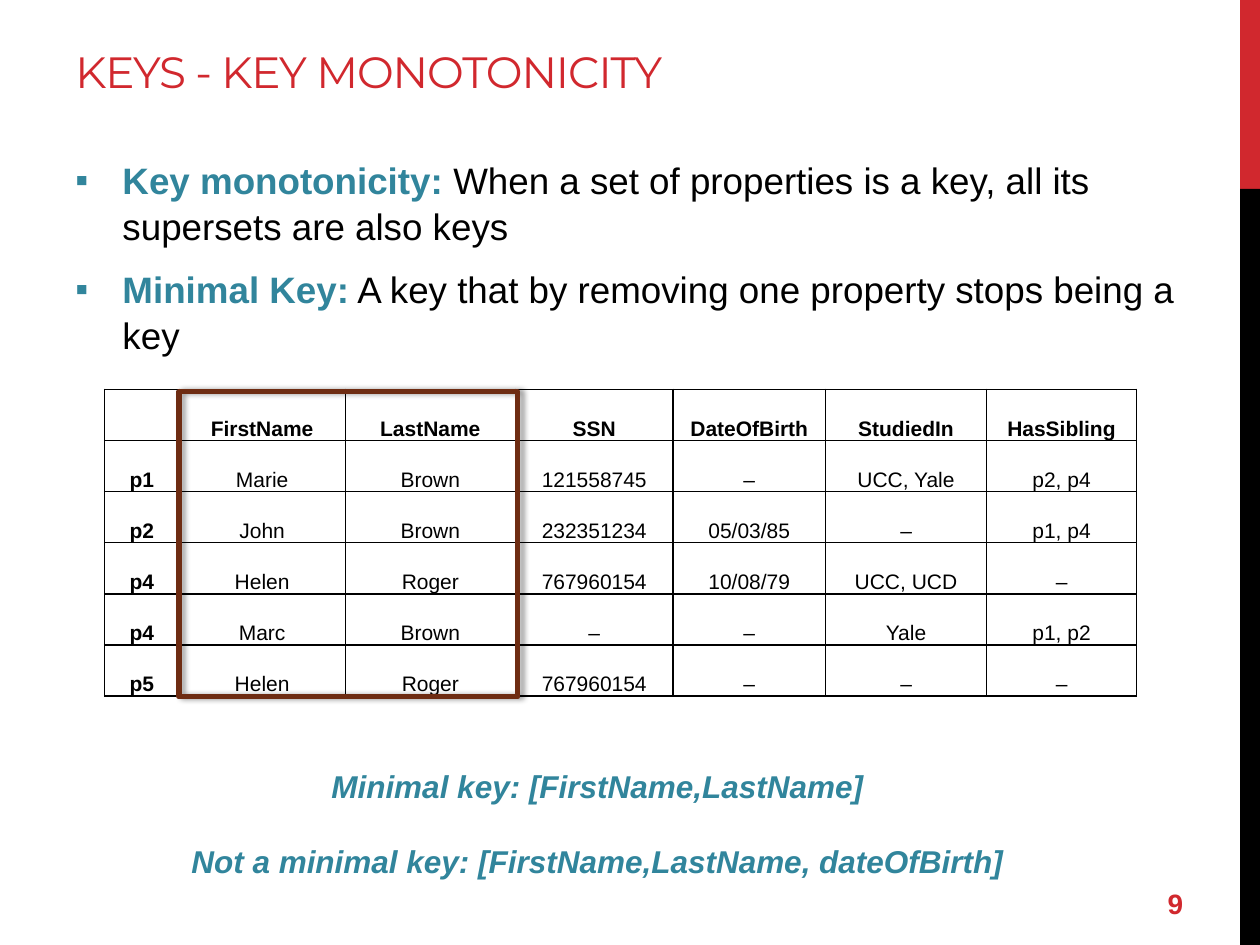
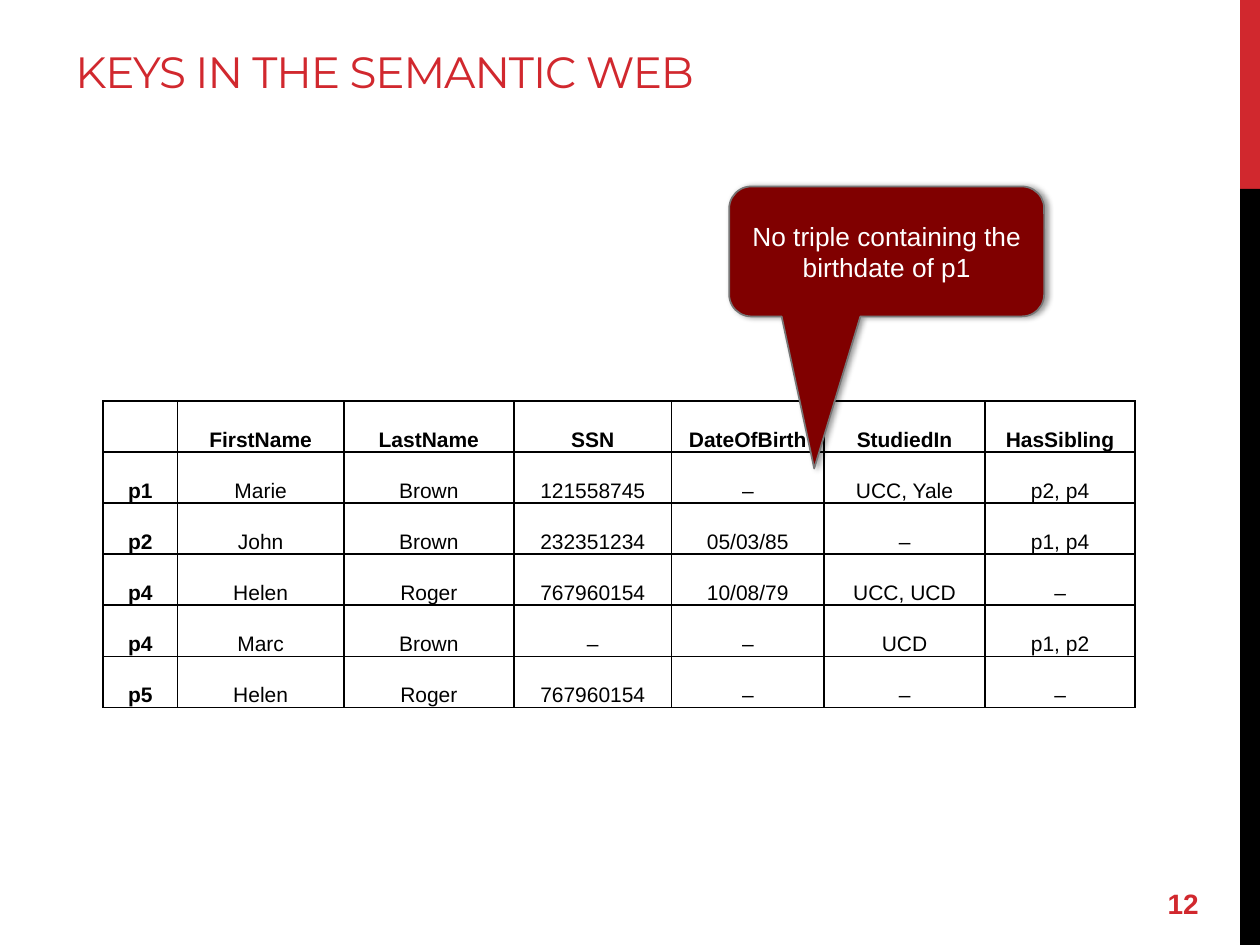
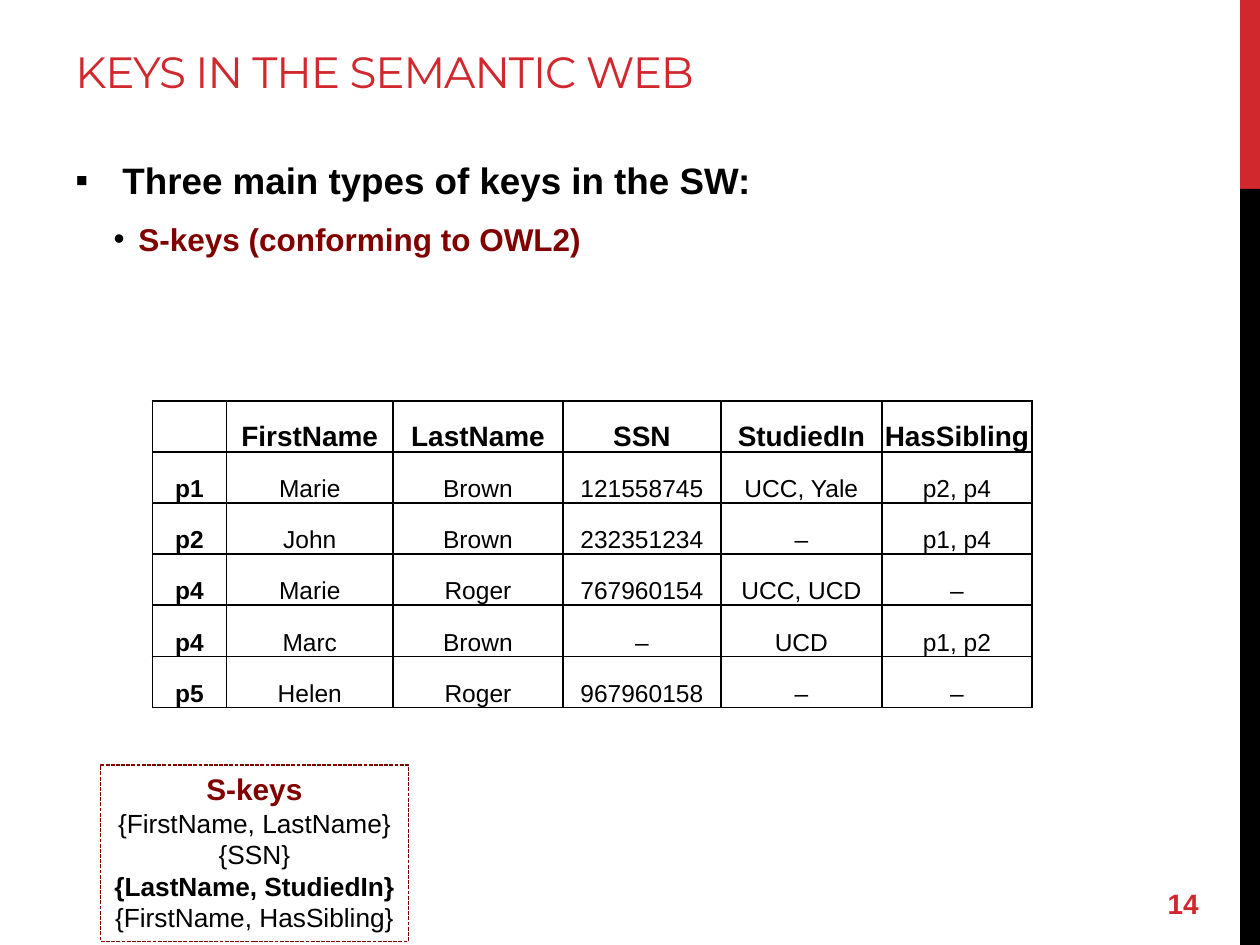
from dataclasses import dataclass

from lxml import etree
from pptx import Presentation
from pptx.dml.color import RGBColor
from pptx.enum.dml import MSO_LINE
from pptx.enum.shapes import MSO_SHAPE
from pptx.enum.text import MSO_ANCHOR, PP_ALIGN
from pptx.oxml.ns import qn
from pptx.util import Cm, Pt

RECTANGLE = MSO_SHAPE.RECTANGLE
CALLOUT = MSO_SHAPE.ROUNDED_RECTANGULAR_CALLOUT
TOP, MIDDLE, BOTTOM = MSO_ANCHOR.TOP, MSO_ANCHOR.MIDDLE, MSO_ANCHOR.BOTTOM
CENTER = PP_ALIGN.CENTER
SHORT_DASH = MSO_LINE.SQUARE_DOT


@dataclass(frozen=True)
class Theme:
    red: str = "D1282E"
    black: str = "000000"
    white: str = "FFFFFF"
    teal: str = "31859C"
    maroon: str = "800000"
    brown: str = "6E2C12"
    grey: str = "777777"
    title_font: str = "Montserrat"
    text_font: str = "Arial"
    title_size: float = 25
    number_size: float = 16
    body_sizes: tuple = (21, 18)
    example_size: float = 18
    callout_size: float = 15
    key_title_size: float = 17
    key_size: float = 15


theme = Theme()


def set_font(paragraph, size, color, bold=False, italic=False, name=theme.text_font):
    font = paragraph.font
    font.name, font.size, font.bold, font.italic = name, Pt(size), bold, italic
    font.color.rgb = RGBColor.from_string(color)


def add_shadow(shape):
    """Give the shape a soft shadow to its right in place of the inherited one."""
    shape.shadow.inherit = False
    effects = shape._element.spPr.find(qn("a:effectLst"))
    shadow = etree.SubElement(effects, qn("a:outerShdw"), blurRad="40000", dist="23000", dir="0")
    color = etree.SubElement(shadow, qn("a:srgbClr"), val=theme.black)
    etree.SubElement(color, qn("a:alpha"), val="40000")


# Each column of the people table: heading, width in cm, values for the five people
PEOPLE_COLUMNS = [
    ("", 1.5, ["p1", "p2", "p4", "p4", "p5"]),
    ("FirstName", 3.35, ["Marie", "John", "Helen", "Marc", "Helen"]),
    ("LastName", 3.43, ["Brown", "Brown", "Roger", "Brown", "Roger"]),
    ("SSN", 3.18, ["121558745", "232351234", "767960154", "–", "767960154"]),
    ("DateOfBirth", 3.07, ["–", "05/03/85", "10/08/79", "–", "–"]),
    ("StudiedIn", 3.25, ["UCC, Yale", "–", "UCC, UCD", "UCD", "–"]),
    ("HasSibling", 3.02, ["p2, p4", "p1, p4", "–", "p1, p2", "–"]),
]
ROW_HEIGHT = 1.03

# Bullets: level, bullet colour, runs of (text, colour, bold)
# Changes: (heading, person row) to the value that differs on that slide
PAGES = [
    dict(
        title="KEYS - KEY MONOTONICITY", number="9",
        bullets=[
            (0, theme.teal, [
                ("Key monotonicity: ", theme.teal, True),
                ("When a set of properties is a key, all its supersets are also keys",
                 theme.black, False)]),
            (0, theme.teal, [
                ("Minimal Key:", theme.teal, True),
                (" A key that by removing one property stops being a key",
                 theme.black, False)]),
        ],
        table_at=(2.11, 7.85), sizes=(12, 12), omitted=None,
        changes={("StudiedIn", 4): "Yale"},
    ),
    dict(
        title="KEYS IN THE SEMANTIC WEB", number="12", bullets=[],
        table_at=(2.08, 8.08), sizes=(12, 12), omitted=None, changes={},
    ),
    dict(
        title="KEYS IN THE SEMANTIC WEB", number="14",
        bullets=[
            (0, theme.black, [("Three main types of keys in the SW:", theme.black, True)]),
            (1, theme.black, [("S-keys (conforming to OWL2)", theme.maroon, True)]),
        ],
        table_at=(3.07, 8.08), sizes=(16, 14), omitted="DateOfBirth",
        changes={("FirstName", 3): "Marie", ("SSN", 5): "967960158"},
    ),
]
# Per level: bullet sign, left margin and hanging indent in cm, space after in points
BULLET_LEVELS = [("▪", 0.95, 0.95, 6), ("•", 1.27, 0.5, 0)]

prs = Presentation()
prs.slide_width, prs.slide_height = Cm(25.4), Cm(19.05)
slides = []

for page in PAGES:
    slide = prs.slides.add_slide(prs.slide_layouts[6])
    slides.append(slide)

    for top, height, color in ((0, 3.81, theme.red), (3.81, 15.24, theme.black)):
        band = slide.shapes.add_shape(RECTANGLE, Cm(25), Cm(top), Cm(0.4), Cm(height))
        band.shadow.inherit = False
        band.fill.solid()
        band.fill.fore_color.rgb = RGBColor.from_string(color)
        band.line.fill.background()

    title = slide.shapes.add_textbox(Cm(1.27), Cm(0.43), Cm(23.01), Cm(2.13)).text_frame
    title.word_wrap = True
    title.vertical_anchor = MIDDLE
    title.margin_top = 0
    heading = title.paragraphs[0]
    heading.text = page["title"]
    heading.runs[0]._r.get_or_add_rPr().set("spc", "-60")
    set_font(heading, theme.title_size, theme.red, name=theme.title_font)

    if page["bullets"]:
        body = slide.shapes.add_textbox(Cm(1.27), Cm(3.02), Cm(23.01), Cm(14)).text_frame
        body.word_wrap = True
    for index, (level, bullet_color, runs) in enumerate(page["bullets"]):
        sign, margin, hanging, space_after = BULLET_LEVELS[level]
        size = theme.body_sizes[level]
        point = body.add_paragraph() if index else body.paragraphs[0]
        point.level = level
        point.line_spacing = 1.04
        point.space_before = Pt(0.2 * size if index else 0)
        point.space_after = Pt(space_after)
        properties = point._p.get_or_add_pPr()
        properties.set("marL", str(Cm(margin)))
        properties.set("indent", str(-Cm(hanging)))
        sign_color = etree.SubElement(properties, qn("a:buClr"))
        etree.SubElement(sign_color, qn("a:srgbClr"), val=bullet_color)
        etree.SubElement(properties, qn("a:buFont"), typeface=theme.text_font)
        etree.SubElement(properties, qn("a:buChar"), char=sign)
        _, first_color, first_bold = runs[0]
        set_font(point, size, first_color, first_bold)
        for text, color, bold in runs:
            run = point.add_run()
            run.text = text
            if len(runs) > 1:
                set_font(run, size, color, bold)

    number = slide.shapes.add_textbox(Cm(23.29), Cm(17.7), Cm(2.11), Cm(1.02)).text_frame
    number.word_wrap = True
    number.vertical_anchor = MIDDLE
    number.text = page["number"]
    set_font(number.paragraphs[0], theme.number_size, theme.red, bold=True)

    columns = [column for column in PEOPLE_COLUMNS if column[0] != page["omitted"]]
    row_count = 1 + len(columns[0][2])
    left, top = page["table_at"]
    people = slide.shapes.add_table(
        row_count, len(columns), Cm(left), Cm(top),
        Cm(sum(width for _, width, _ in columns)), Cm(row_count * ROW_HEIGHT)).table
    people.first_row = people.horz_banding = False
    for row in people.rows:
        row.height = Cm(ROW_HEIGHT)
    header_size, value_size = page["sizes"]
    for c, (name, width, values) in enumerate(columns):
        people.columns[c].width = Cm(width)
        for r, value in enumerate([name] + values):
            cell = people.cell(r, c)
            cell.margin_left = cell.margin_right = cell.margin_top = Cm(0.03)
            cell.margin_bottom = 0
            cell.vertical_anchor = BOTTOM
            cell.text = page["changes"].get((name, r), value)
            entry = cell.text_frame.paragraphs[0]
            entry.alignment = CENTER
            set_font(entry, value_size if r else header_size, theme.black,
                     bold=r == 0 or c == 0)
            for side in ("a:lnL", "a:lnR", "a:lnT", "a:lnB"):
                border = etree.SubElement(cell._tc.get_or_add_tcPr(), qn(side), w=str(Pt(1)))
                ink = etree.SubElement(border, qn("a:solidFill"))
                etree.SubElement(ink, qn("a:srgbClr"), val=theme.black)
            cell.fill.background()

monotonicity_slide, triple_slide, s_keys_slide = slides

# Frame around the two columns that form the minimal key, and the examples below
key_frame = monotonicity_slide.shapes.add_shape(
    RECTANGLE, Cm(3.61), Cm(7.9), Cm(6.83), Cm(6.15))
key_frame.fill.background()
key_frame.line.color.rgb = RGBColor.from_string(theme.brown)
key_frame.line.width = Pt(3)
add_shadow(key_frame)

examples = monotonicity_slide.shapes.add_textbox(
    Cm(3.28), Cm(15.34), Cm(17.53), Cm(3.6)).text_frame
examples.word_wrap = True
examples.text = ("Minimal key: [FirstName,LastName]\n"
                 "Not a minimal key: [FirstName,LastName, dateOfBirth]")
for example in examples.paragraphs:
    example.alignment = CENTER
    set_font(example, theme.example_size, theme.teal, bold=True, italic=True)
examples.paragraphs[1].space_before = Pt(21)

# Callout pointing at the missing birthdate
callout = triple_slide.shapes.add_shape(CALLOUT, Cm(14.7), Cm(3.76), Cm(6.35), Cm(2.62))
for index, adjustment in enumerate((-0.23, 1.67, 0.17)):
    callout.adjustments[index] = adjustment
callout.fill.solid()
callout.fill.fore_color.rgb = RGBColor.from_string(theme.maroon)
callout.line.color.rgb = RGBColor.from_string(theme.grey)
callout.line.width = Pt(1)
add_shadow(callout)
callout.text_frame.text = "No triple containing the birthdate of p1"
remark = callout.text_frame.paragraphs[0]
remark.alignment = CENTER
set_font(remark, theme.callout_size, theme.white)

# List of the S-keys
s_keys = s_keys_slide.shapes.add_shape(RECTANGLE, Cm(2.03), Cm(15.42), Cm(6.2), Cm(3.56))
s_keys.shadow.inherit = False
s_keys.fill.background()
s_keys.line.color.rgb = RGBColor.from_string(theme.maroon)
s_keys.line.width = Pt(0.75)
s_keys.line.dash_style = SHORT_DASH
key_list = s_keys.text_frame
key_list.word_wrap = False
key_list.vertical_anchor = TOP
key_lines = [
    ("S-keys", theme.key_title_size, theme.maroon, True),
    ("{FirstName, LastName}", theme.key_size, theme.black, False),
    ("{SSN}", theme.key_size, theme.black, False),
    ("{LastName, StudiedIn}", theme.key_size, theme.black, True),
    ("{FirstName, HasSibling}", theme.key_size, theme.black, False),
]
key_list.text = "\n".join(text for text, *_ in key_lines)
for line, (_, size, color, bold) in zip(key_list.paragraphs, key_lines):
    line.alignment = CENTER
    set_font(line, size, color, bold)

prs.save("out.pptx")
